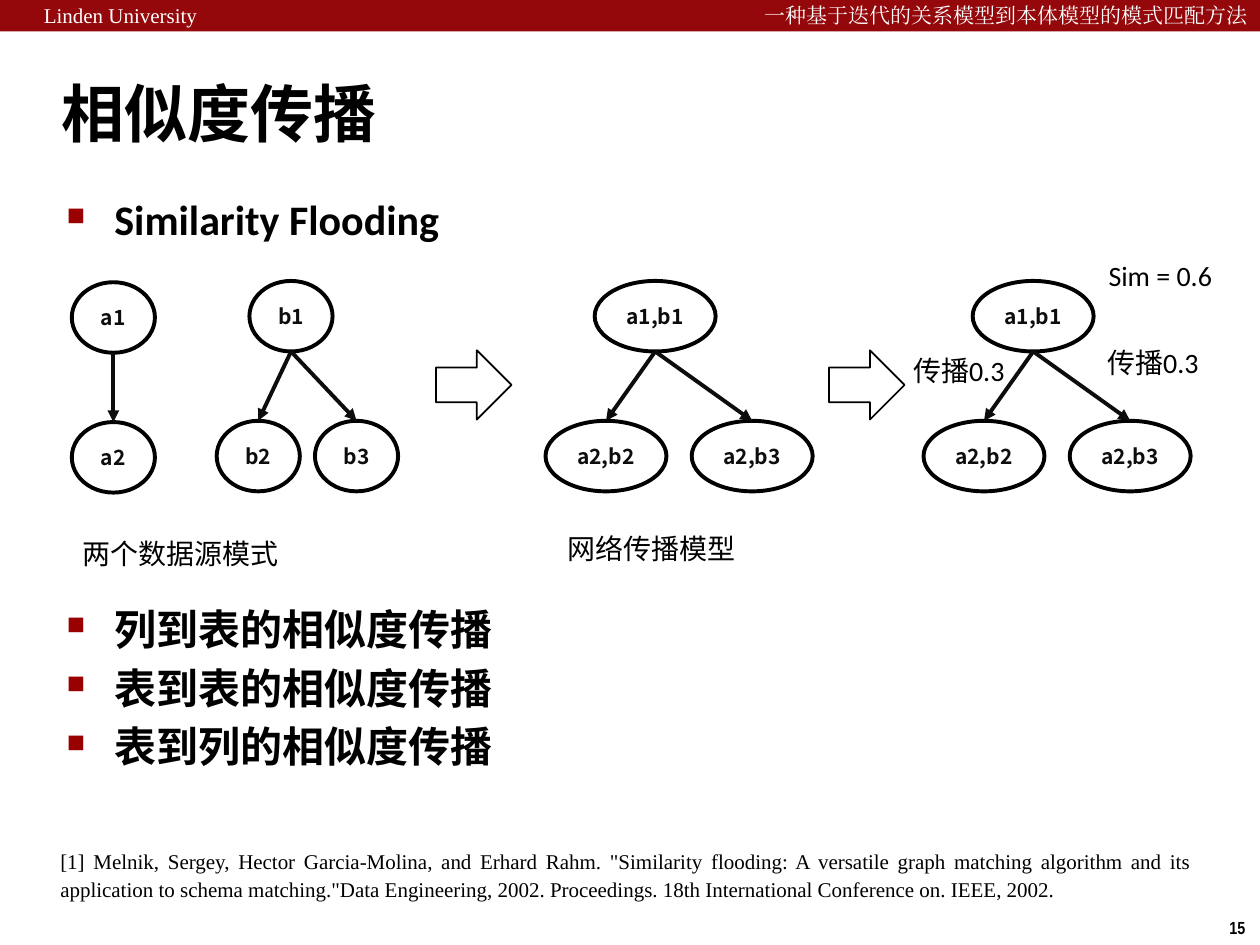
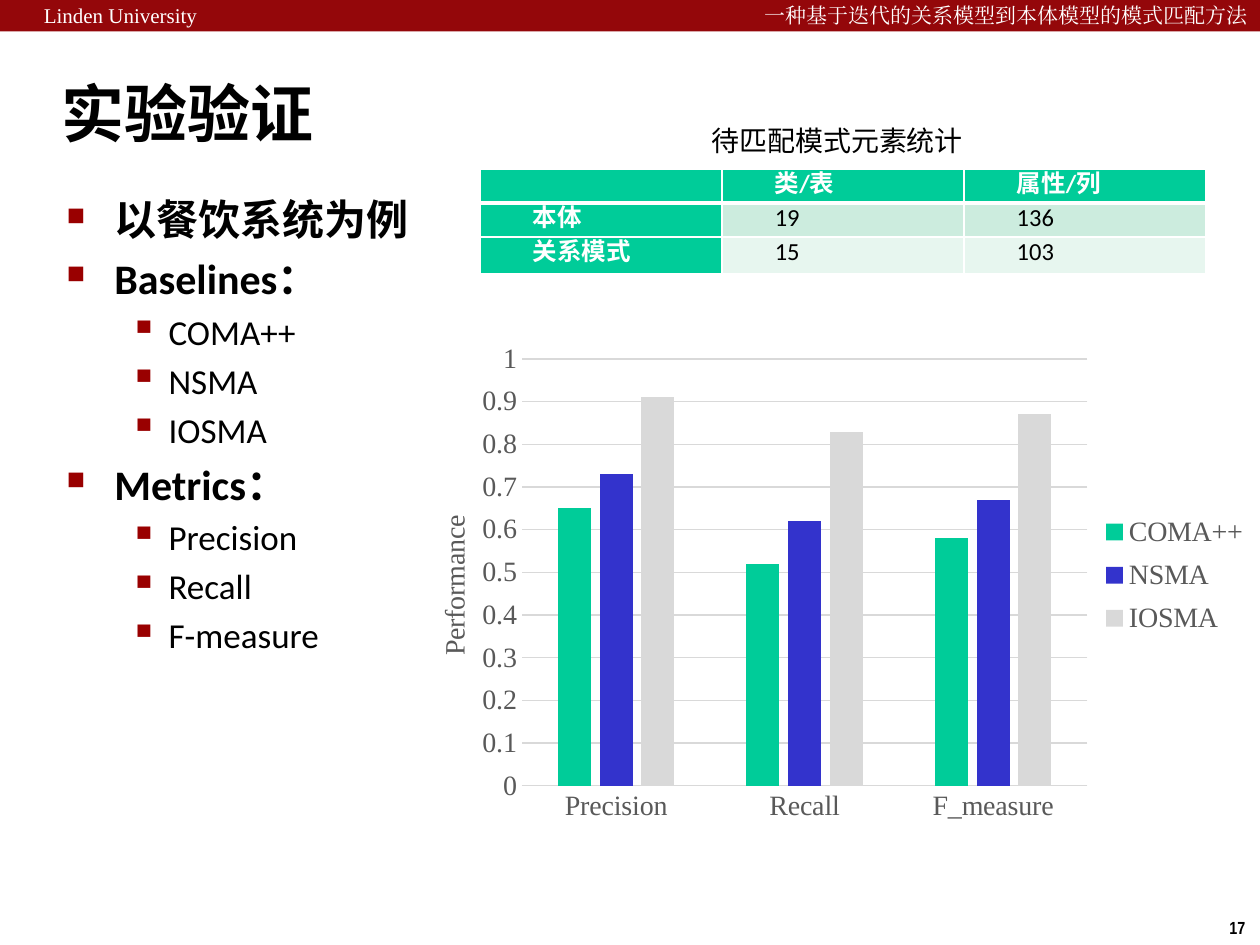
from lxml import etree
from pptx import Presentation
from pptx.chart.data import CategoryChartData
from pptx.dml.color import RGBColor
from pptx.enum.chart import XL_CHART_TYPE, XL_LEGEND_POSITION, XL_TICK_MARK
from pptx.enum.shapes import MSO_CONNECTOR, MSO_SHAPE
from pptx.enum.text import MSO_ANCHOR, PP_ALIGN
from pptx.oxml.ns import qn
from pptx.util import Inches, Pt

COLUMNS = XL_CHART_TYPE.COLUMN_CLUSTERED
LEGEND_RIGHT = XL_LEGEND_POSITION.RIGHT
NO_TICKS = XL_TICK_MARK.NONE
STRAIGHT = MSO_CONNECTOR.STRAIGHT
RECTANGLE, OVAL, ARROW = MSO_SHAPE.RECTANGLE, MSO_SHAPE.OVAL, MSO_SHAPE.RIGHT_ARROW
MIDDLE = MSO_ANCHOR.MIDDLE
LEFT, CENTER = PP_ALIGN.LEFT, PP_ALIGN.CENTER
RIGHT, JUSTIFY = PP_ALIGN.RIGHT, PP_ALIGN.JUSTIFY

BLACK = RGBColor(0x00, 0x00, 0x00)
WHITE = RGBColor(0xFF, 0xFF, 0xFF)
INK = RGBColor(0x0D, 0x0D, 0x0D)
BAND_RED = RGBColor(0x94, 0x07, 0x0A)
BULLET_RED = RGBColor(0x99, 0x00, 0x00)
GREEN = RGBColor(0x00, 0xCC, 0x99)
BLUE = RGBColor(0x33, 0x33, 0xCC)
GRID_GRAY = RGBColor(0xD9, 0xD9, 0xD9)
CHART_TEXT = RGBColor(0x59, 0x59, 0x59)
ROW_TINTS = [RGBColor(0xCC, 0xEC, 0xDE), RGBColor(0xE7, 0xF6, 0xEF)]

SANS, SERIF = "Calibri", "Times New Roman"
NARROW, CJK = "Arial Narrow", "Noto Sans CJK SC"

BULLETS = [("■", 60, 0.38, -0.38, 24, True), ("▪", 110, 0.81, -0.31, 20, False)]
NODE_HEIGHT = 0.56
CHILD_DROP = 1.11


def add_element(parent, tag, **attributes):
    return etree.SubElement(parent, qn(tag), **attributes)


def style_font(para, size, name=SANS, color=BLACK, bold=False):
    font = para.font
    font.size, font.name, font.bold = Pt(size), name, bold
    font.color.rgb = color
    add_element(font._element, "a:ea", typeface=name)


def add_text(page, box, text, size, name=SANS, color=BLACK, bold=False, align=LEFT, wrap=False):
    label = page.shapes.add_textbox(*map(Inches, box))
    label.text_frame.word_wrap = wrap
    para = label.text_frame.paragraphs[0]
    para.text, para.alignment = text, align
    style_font(para, size, name, color, bold)
    return para


def add_page(deck, title, number):
    page = deck.slides.add_slide(deck.slide_layouts[5])
    band = page.shapes.add_shape(RECTANGLE, 0, 0, deck.slide_width, Inches(0.25))
    band.shadow.inherit = False
    band.fill.solid()
    band.fill.fore_color.rgb = BAND_RED
    band.line.fill.background()
    add_text(page, (0.25, -0.03, 1.6, 0.3), "Linden University", 12, SERIF, WHITE)
    add_text(page, (5.82, -0.03, 4.18, 0.3), "一种基于迭代的关系模型到本体模型的模式匹配方法",
             12, SERIF, WHITE, align=RIGHT)
    add_text(page, (9.66, 7.23, 0.34, 0.27), number, 10, NARROW, bold=True)

    heading = page.shapes.title
    heading.left, heading.top = Inches(0.39), Inches(0.48)
    heading.width, heading.height = Inches(8.3), Inches(0.83)
    heading.text_frame.vertical_anchor = MIDDLE
    para = heading.text_frame.paragraphs[0]
    para.text, para.alignment = title, LEFT
    style_font(para, 36, bold=True)
    return page


def add_bullets(page, box, items):
    frame = page.shapes.add_textbox(*map(Inches, box)).text_frame
    frame.word_wrap = True
    for index, (level, text) in enumerate(items):
        para = frame.add_paragraph() if index else frame.paragraphs[0]
        para.text, para.level = text, level
        mark, scale, margin, indent, size, bold = BULLETS[level]
        properties = para._p.get_or_add_pPr()
        properties.set("marL", str(Inches(margin)))
        properties.set("indent", str(Inches(indent)))
        color = add_element(properties, "a:buClr")
        add_element(color, "a:srgbClr", val=str(BULLET_RED))
        add_element(properties, "a:buSzPct", val=str(scale * 1000))
        add_element(properties, "a:buChar", char=mark)
        para.space_before = Pt(size * 0.2)
        style_font(para, size, bold=bold)


def add_node(page, left, top, width, text):
    node = page.shapes.add_shape(OVAL, *map(Inches, (left, top, width, NODE_HEIGHT)))
    node.shadow.inherit = False
    node.fill.background()
    node.line.color.rgb, node.line.width = BLACK, Pt(2.25)
    frame = node.text_frame
    frame.margin_left = frame.margin_right = frame.margin_top = frame.margin_bottom = 0
    frame.vertical_anchor = MIDDLE
    para = frame.paragraphs[0]
    para.text, para.alignment = text, CENTER
    style_font(para, 12, CJK, INK, True)
    return node


def add_tree(page, left, top, width, root, children):
    root_offset, root_text = root
    parent = add_node(page, left + root_offset, top, width, root_text)
    for offset, text in children:
        child = add_node(page, left + offset, top + CHILD_DROP, width, text)
        edge = page.shapes.add_connector(STRAIGHT, parent.left + parent.width // 2,
                                         parent.top + parent.height, 0, 0)
        edge.end_connect(child, 0)
        edge.line.color.rgb, edge.line.width = INK, Pt(2.25)
        add_element(edge.line._get_or_add_ln(), "a:tailEnd", type="triangle")
        add_element(edge._element.spPr, "a:effectLst")


def add_step_arrow(page, left, top):
    arrow = page.shapes.add_shape(ARROW, *map(Inches, (left, top, 0.6, 0.55)))
    arrow.shadow.inherit = False
    arrow.fill.background()
    arrow.line.color.rgb, arrow.line.width = BLACK, Pt(1)


def add_flooding_diagram(page, left, top):
    add_tree(page, left, top + 0.24, 0.66, (0, "a1"), [(0, "a2")])
    add_tree(page, left + 1.15, top + 0.23, 0.66, (0.26, "b1"), [(0, "b2"), (0.78, "b3")])
    for tree_left in (3.76, 6.76):
        add_tree(page, left + tree_left, top + 0.23, 0.96, (0.39, "a1,b1"),
                 [(0, "a2,b2"), (1.16, "a2,b3")])
    for arrow_left in (2.89, 6.01):
        add_step_arrow(page, left + arrow_left, top + 0.78)
    for x, y, width, text in [(-0.01, 2.21, 1.91, "两个数据源模式"),
                              (3.84, 2.17, 1.67, "网络传播模型"),
                              (8.13, 0, 1.23, "Sim = 0.6"),
                              (6.58, 0.76, 1.94, "传播0.3"),
                              (8.12, 0.69, 1.94, "传播0.3")]:
        add_text(page, (left + x, top + y, width, 0.37), text, 16, wrap=True)


def add_similarity_page(deck):
    page = add_page(deck, "相似度传播", "15")
    add_bullets(page, (0.43, 1.49, 8.64, 0.5), [(0, "Similarity Flooding")])
    add_flooding_diagram(page, 0.57, 2)
    add_bullets(page, (0.43, 4.74, 8.64, 1.5),
                [(0, f"{pair}的相似度传播") for pair in ("列到表", "表到表", "表到列")])
    citation = add_text(
        page, (0.38, 6.66, 9.18, 0.53),
        "[1] Melnik, Sergey, Hector Garcia-Molina, and Erhard Rahm. \"Similarity flooding: "
        "A versatile graph matching algorithm and its application to schema matching.\""
        "Data Engineering, 2002. Proceedings. 18th International Conference on. IEEE, 2002.",
        12, SERIF, align=JUSTIFY, wrap=True)
    citation.line_spacing, citation.space_before = Pt(16), Pt(3)


def add_borders(cell, bottom):
    properties = cell._tc.get_or_add_tcPr()
    for side, width in (("L", 1), ("R", 1), ("T", 1), ("B", bottom)):
        border = add_element(properties, f"a:ln{side}", w=str(Pt(width)))
        fill = add_element(border, "a:solidFill")
        add_element(fill, "a:srgbClr", val=str(WHITE))


def add_statistics_table(page, left, top):
    rows = [("", "类/表", "属性/列"), ("本体", "19", "136"), ("关系模式", "15", "103")]
    table = page.shapes.add_table(3, 3, *map(Inches, (left, top, 5.76, 0.83))).table
    for column in table.columns:
        column.width = Inches(1.92)
    for row, height in zip(table.rows, (0.27, 0.27, 0.29)):
        row.height = Inches(height)
    for r, texts in enumerate(rows):
        for c, text in enumerate(texts):
            cell = table.cell(r, c)
            is_heading = r == 0 or c == 0
            cell.margin_left = cell.margin_right = Inches(0.12)
            cell.margin_top = cell.margin_bottom = 0
            add_borders(cell, 1 if r else 3)
            cell.fill.solid()
            cell.fill.fore_color.rgb = GREEN if is_heading else ROW_TINTS[r - 1]
            para = cell.text_frame.paragraphs[0]
            para.text, para.alignment = text, JUSTIFY
            para._p.get_or_add_pPr().set("indent", str(Inches(0.3)))
            style_font(para, 14, color=WHITE if is_heading else BLACK, bold=is_heading)
            if not text:
                add_element(para._p, "a:endParaRPr", sz="1400")


def set_layout(element, index, **values):
    layout = element.find(qn("c:layout"))
    if layout is None:
        layout = add_element(element, "c:layout")
        element.insert(index, layout)
    manual = add_element(layout, "c:manualLayout")
    for tag, value in values.items():
        add_element(manual, f"c:{tag}", val=str(value))


def style_chart_font(font):
    font.size, font.name, font.bold = Pt(16), SERIF, False
    font.color.rgb = CHART_TEXT


def add_performance_chart(page, box):
    data = CategoryChartData()
    data.categories = ["Precision", "Recall", "F_measure"]
    data.add_series("COMA++", (0.65, 0.52, 0.58))
    data.add_series("NSMA", (0.73, 0.62, 0.67))
    data.add_series("IOSMA", (0.91, 0.83, 0.87))
    chart = page.shapes.add_chart(COLUMNS, *map(Inches, box), data).chart
    style_chart_font(chart.font)
    chart.has_title = False

    plot = chart.plots[0]
    plot.gap_width, plot.overlap, plot.vary_by_categories = 219, -27, False
    for series, color in zip(plot.series, (GREEN, BLUE, GRID_GRAY)):
        series.format.fill.solid()
        series.format.fill.fore_color.rgb = color

    categories, values = chart.category_axis, chart.value_axis
    for axis in (categories, values):
        axis.major_tick_mark = axis.minor_tick_mark = NO_TICKS
        style_chart_font(axis.tick_labels.font)
    values.minimum_scale, values.maximum_scale, values.major_unit = 0, 1, 0.1
    values.format.line.fill.background()
    for line in (categories.format.line, values.major_gridlines.format.line):
        line.color.rgb, line.width = GRID_GRAY, Pt(0.75)
    title = values.axis_title
    title.text_frame.text = "Performance"
    style_chart_font(title.text_frame.paragraphs[0].font)
    set_layout(title._element, 1, xMode="edge", yMode="edge", x=0.03, y=0.33)

    chart.has_legend = True
    chart.legend.position = LEGEND_RIGHT
    chart.legend.include_in_layout = False
    style_chart_font(chart.legend.font)
    set_layout(chart.legend._element, 1, xMode="edge", yMode="edge", x=0.8, y=0.32, w=0.2, h=0.26)
    set_layout(chart._chartSpace.chart.plotArea, 0, layoutTarget="inner",
               xMode="edge", yMode="edge", x=0.136, y=0.051, w=0.662, h=0.788)


def add_experiment_page(deck):
    page = add_page(deck, "实验验证", "17")
    add_bullets(page, (0.43, 1.49, 8.64, 5.44), [
        (0, "以餐饮系统为例"),
        (0, "Baselines："), (1, "COMA++"), (1, "NSMA"), (1, "IOSMA"),
        (0, "Metrics："), (1, "Precision"), (1, "Recall"), (1, "F-measure")])
    add_performance_chart(page, (3.22, 2.63, 6.78, 4.3))
    add_statistics_table(page, 3.81, 1.34)
    add_text(page, (5.55, 0.93, 2.27, 0.37), "待匹配模式元素统计", 16)


def main():
    deck = Presentation()
    deck.slide_width, deck.slide_height = Inches(10), Inches(7.5)
    add_similarity_page(deck)
    add_experiment_page(deck)
    deck.save("out.pptx")


if __name__ == "__main__":
    main()
